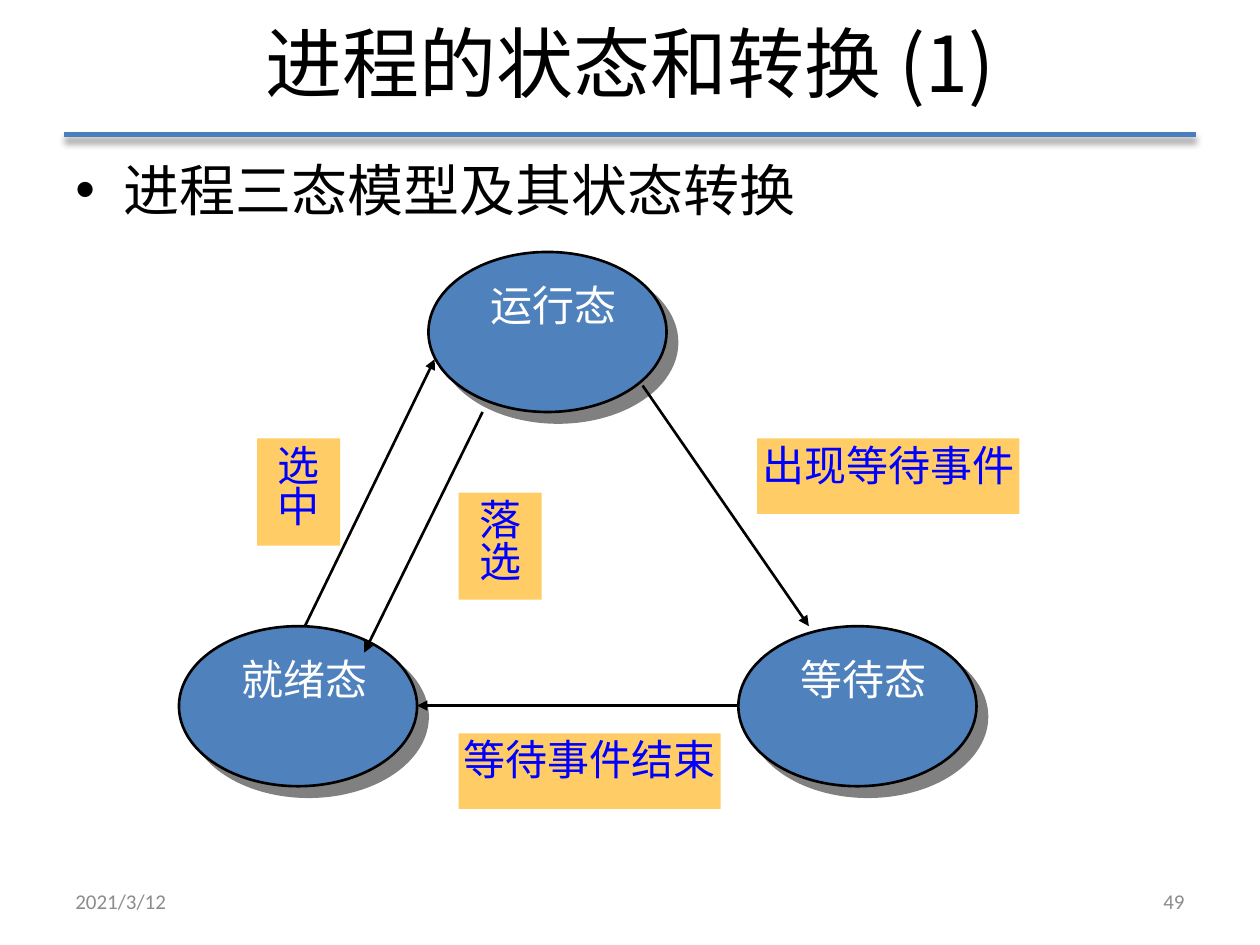
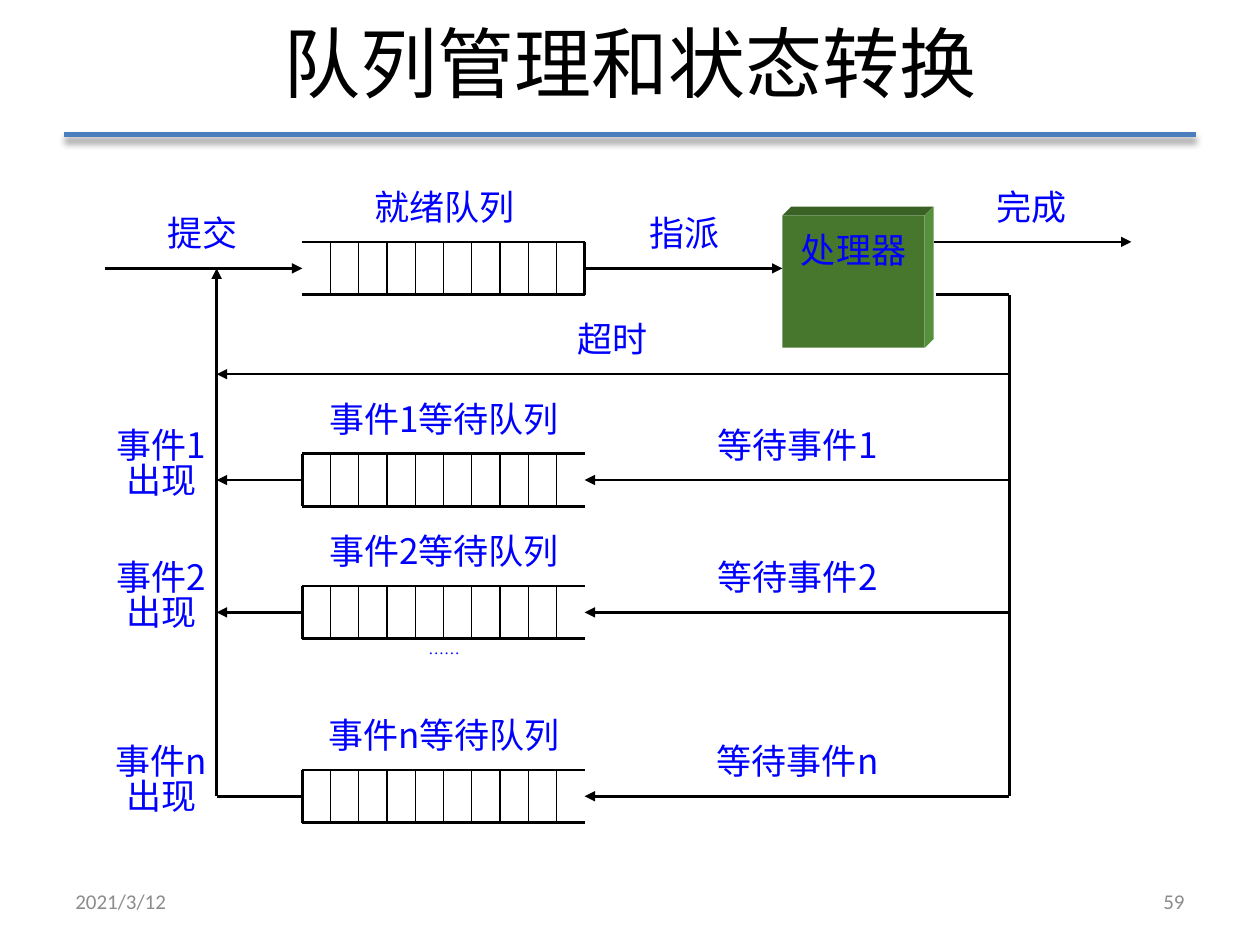
"""Build two slides on process states and on queue management."""
from lxml.etree import SubElement
from pptx import Presentation
from pptx.dml.color import RGBColor
from pptx.enum.shapes import MSO_CONNECTOR, MSO_SHAPE
from pptx.enum.text import MSO_ANCHOR, PP_ALIGN
from pptx.oxml.ns import qn
from pptx.util import Inches, Pt

BLACK = RGBColor(0x00, 0x00, 0x00)
WHITE = RGBColor(0xFF, 0xFF, 0xFF)
GREY = RGBColor(0x8C, 0x8C, 0x8C)
BLUE = RGBColor(0x00, 0x00, 0xFF)
RULE = RGBColor(0x4B, 0x7E, 0xBC)
STEEL = RGBColor(0x4F, 0x81, 0xBD)
AMBER = RGBColor(0xFF, 0xCC, 0x66)
FRONT = RGBColor(0x47, 0x77, 0x2D)
TOP = RGBColor(0x3A, 0x62, 0x25)
SIDE = RGBColor(0x55, 0x90, 0x3A)

HAN = "Noto Sans CJK JP"
DATE = "2021/3/12"
PAD = (0.1, 0.05, 0.1, 0.05)
LEFT, MID, RIGHT = PP_ALIGN.LEFT, PP_ALIGN.CENTER, PP_ALIGN.RIGHT

MODEL = {"title": "进程的状态和转换 (1)", "page": "49", "point": "进程三态模型及其状态转换"}
STATES = [("运行态", 3.4, 2), ("就绪态", 1.42, 4.97), ("等待态", 5.86, 4.97)]
MOVES = [
    (2.42, 4.97, 3.45, 2.85),
    (3.83, 3.27, 2.89, 5.18),
    (5.1, 3.06, 6.42, 4.97),
    (5.86, 5.6, 3.31, 5.6),
]
CAUSES = [
    ("选中", 2.04, 3.48, 0.66, 0.85),
    ("落选", 3.64, 3.91, 0.66, 0.85),
    ("出现等待事件", 6.01, 3.48, 2.08, 0.6),
    ("等待事件结束", 3.64, 5.82, 2.08, 0.6),
]

QUEUES = {"title": "队列管理和状态转换", "page": "59"}
EVENTS = [("1", 3.6), ("2", 4.65), ("n", 6.11)]
READY = 1.92
BACK, HEAD, TAIL, BUS = 1.72, 2.4, 4.64, 8.01
HIGH, CELLS = 0.42, 10
CPU = {"name": "处理器", "x": 6.21, "y": 1.71, "w": 1.13, "h": 1.05, "deep": 0.07}
NOTES = [
    ("就绪队列", HEAD, 1.5, 2.25),
    ("提交", 1.14, 1.71, 0.94),
    ("指派", 4.96, 1.71, 0.94),
    ("完成", 7.72, 1.5, 0.94),
    ("超时", 2.98, 2.55, 3.77),
]
FLOWS = [
    (0.83, 2.13, HEAD, 2.13, True),
    (TAIL, 2.13, CPU["x"], 2.13, True),
    (7.41, READY, 8.98, READY, True),
    (7.43, 2.34, BUS, 2.34, False),
    (BUS, 2.34, BUS, 6.32, False),
    (BUS, 2.97, BACK, 2.97, True),
    (BACK, 6.32, BACK, 2.13, True),
]


def shade(shape, color, alpha, blur, dist, angle):
    """Give a shape an outer shadow."""
    box = shape._element.spPr.find(qn("a:effectLst"))
    if box is None:
        box = SubElement(shape._element.spPr, qn("a:effectLst"))
    cast = SubElement(box, qn("a:outerShdw"), blurRad=str(Pt(blur)), dist=str(Pt(dist)),
                      dir=str(angle * 60000), algn="tl", rotWithShape="0")
    tint = SubElement(cast, qn("a:srgbClr"), val=color)
    SubElement(tint, qn("a:alpha"), val=str(alpha * 1000))


def line(slide, x1, y1, x2, y2, arrow=False, width=1.5, color=BLACK):
    """Draw a straight line, with an arrowhead at its end if asked."""
    ends = [Inches(v) for v in (x1, y1, x2, y2)]
    link = slide.shapes.add_connector(MSO_CONNECTOR.STRAIGHT, *ends)
    link.line.color.rgb = color
    link.line.width = Pt(width)
    if arrow:
        SubElement(link.line._get_or_add_ln(), qn("a:tailEnd"), type="triangle")
    SubElement(link._element.spPr, qn("a:effectLst"))
    return link


def write(shape, text, size, color=BLUE, font=HAN, align=MID, pad=(0, 0, 0, 0),
          anchor=MSO_ANCHOR.TOP, bullet=False):
    """Fill a shape with text, one paragraph to a line."""
    frame = shape.text_frame
    left, top, right, low = pad
    if font == HAN:
        top += size * 0.1 / 72
    style = {"word_wrap": True, "vertical_anchor": anchor,
             "margin_left": Inches(left), "margin_top": Inches(top),
             "margin_right": Inches(right), "margin_bottom": Inches(low)}
    for key, value in style.items():
        setattr(frame, key, value)
    frame.text = text
    for para in frame.paragraphs:
        para.alignment = align
        if font == HAN:
            para.line_spacing = 0.83
        if bullet:
            props = para._p.get_or_add_pPr()
            props.set("marL", str(Inches(0.38)))
            props.set("indent", str(Inches(-0.38)))
            SubElement(props, qn("a:buFont"), typeface="Arial")
            SubElement(props, qn("a:buChar"), char="•")
        for run in para.runs:
            for key, value in {"name": font, "size": Pt(size)}.items():
                setattr(run.font, key, value)
            run.font.color.rgb = color
            SubElement(run._r.get_or_add_rPr(), qn("a:ea"), typeface=font)


def label(slide, text, x, y, w, h, size=20, **style):
    """Add a text box."""
    box = slide.shapes.add_textbox(*[Inches(v) for v in (x, y, w, h)])
    write(box, text, size, **style)


def block(slide, kind, x, y, w, h, fill):
    """Add a filled shape without outline or shadow."""
    shape = slide.shapes.add_shape(kind, *[Inches(v) for v in (x, y, w, h)])
    shape.shadow.inherit = False
    shape.fill.solid()
    shape.fill.fore_color.rgb = fill
    shape.line.fill.background()
    return shape


def face(slide, points, fill):
    """Add a filled polygon."""
    start, *rest = [(Inches(x), Inches(y)) for x, y in points]
    path = slide.shapes.build_freeform(*start)
    path.add_line_segments(rest)
    shape = path.convert_to_shape()
    shape.shadow.inherit = False
    shape.fill.solid()
    shape.fill.fore_color.rgb = fill
    shape.line.fill.background()


def begin(deck, title, page):
    """Add a slide with the shared title, rule and footers."""
    slide = deck.slides.add_slide(deck.slide_layouts[6])
    shade(line(slide, 0.51, 1.07, 9.49, 1.07, width=3, color=RULE), "000000", 40, 4, 3, 90)
    base = {"pad": PAD, "anchor": MSO_ANCHOR.MIDDLE}
    label(slide, title, 0.5, -0.03, 9, 1.1, 44, color=BLACK, **base)
    for text, x, align in ((DATE, 0.5, LEFT), (page, 7.17, RIGHT)):
        label(slide, text, x, 6.95, 2.33, 0.4, 12, color=GREY, font="Calibri",
              align=align, **base)
    return slide


def model(deck):
    """Draw the three states and the moves between them."""
    slide = begin(deck, MODEL["title"], MODEL["page"])
    label(slide, MODEL["point"], 0.5, 1.23, 9, 5.47, 32, color=BLACK, align=LEFT,
          pad=PAD, bullet=True)
    for name, x, y in STATES:
        oval = block(slide, MSO_SHAPE.OVAL, x, y, 1.89, 1.27, STEEL)
        oval.line.color.rgb = BLACK
        oval.line.width = Pt(1.5)
        shade(oval, "808080", 100, 0, 8.5, 45)
    for move in MOVES:
        line(slide, *move, arrow=True)
    tags = [(name, x + 0.43, y + 0.21, 1.13, 0.85, STEEL, WHITE) for name, x, y in STATES]
    tags += [(*cause, AMBER, BLUE) for cause in CAUSES]
    for text, x, y, w, h, fill, color in tags:
        tag = block(slide, MSO_SHAPE.RECTANGLE, x, y, w, h, fill)
        write(tag, text, 24, color=color, pad=(0, 0.04, 0, 0))


def queue(slide, y, shut):
    """Draw a queue that is closed at one end."""
    for edge in (y, y + HIGH):
        line(slide, HEAD, edge, TAIL, edge)
    line(slide, shut, y, shut, y + HIGH)
    for cell in range(1, CELLS):
        x = HEAD + (TAIL - HEAD) * cell / CELLS
        line(slide, x, y, x, y + HIGH, width=0.75)


def cube(slide):
    """Draw the processor as a block with depth."""
    x, y, w, h, deep = (CPU[key] for key in ("x", "y", "w", "h", "deep"))
    far, low = x + w, y + h
    face(slide, [(x, y), (x + deep, y - deep), (far + deep, y - deep), (far, y)], TOP)
    face(slide, [(far, y), (far + deep, y - deep), (far + deep, low - deep), (far, low)], SIDE)
    front = block(slide, MSO_SHAPE.RECTANGLE, x, y, w, h, FRONT)
    write(front, CPU["name"], 20, pad=(0, 0.13, 0, 0.05))


def queues(deck):
    """Draw the ready queue, the event queues and the flows."""
    slide = begin(deck, QUEUES["title"], QUEUES["page"])
    queue(slide, READY, TAIL)
    cube(slide)
    for flow in FLOWS:
        line(slide, *flow)
    for text, x, y, w in NOTES:
        label(slide, text, x, y, w, HIGH)
    for name, y in EVENTS:
        mid = y + HIGH / 2
        queue(slide, y, HEAD)
        line(slide, BUS, mid, TAIL, mid, arrow=True)
        line(slide, HEAD, mid, BACK, mid, arrow=name != "n")
        label(slide, f"事件{name}等待队列", HEAD, y - HIGH, 2.25, HIGH)
        label(slide, f"等待事件{name}", 5.32, mid - HIGH, 2.02, HIGH)
        label(slide, f"事件{name}\n出现", 0.83, mid - HIGH, 0.9, 2 * HIGH)
    label(slide, "……", HEAD, 5.07, 2.25, HIGH, 9, font="Times New Roman")


def main():
    """Build and save the deck."""
    deck = Presentation()
    deck.slide_width, deck.slide_height = Inches(10), Inches(7.5)
    model(deck)
    queues(deck)
    deck.save("out.pptx")


if __name__ == "__main__":
    main()
